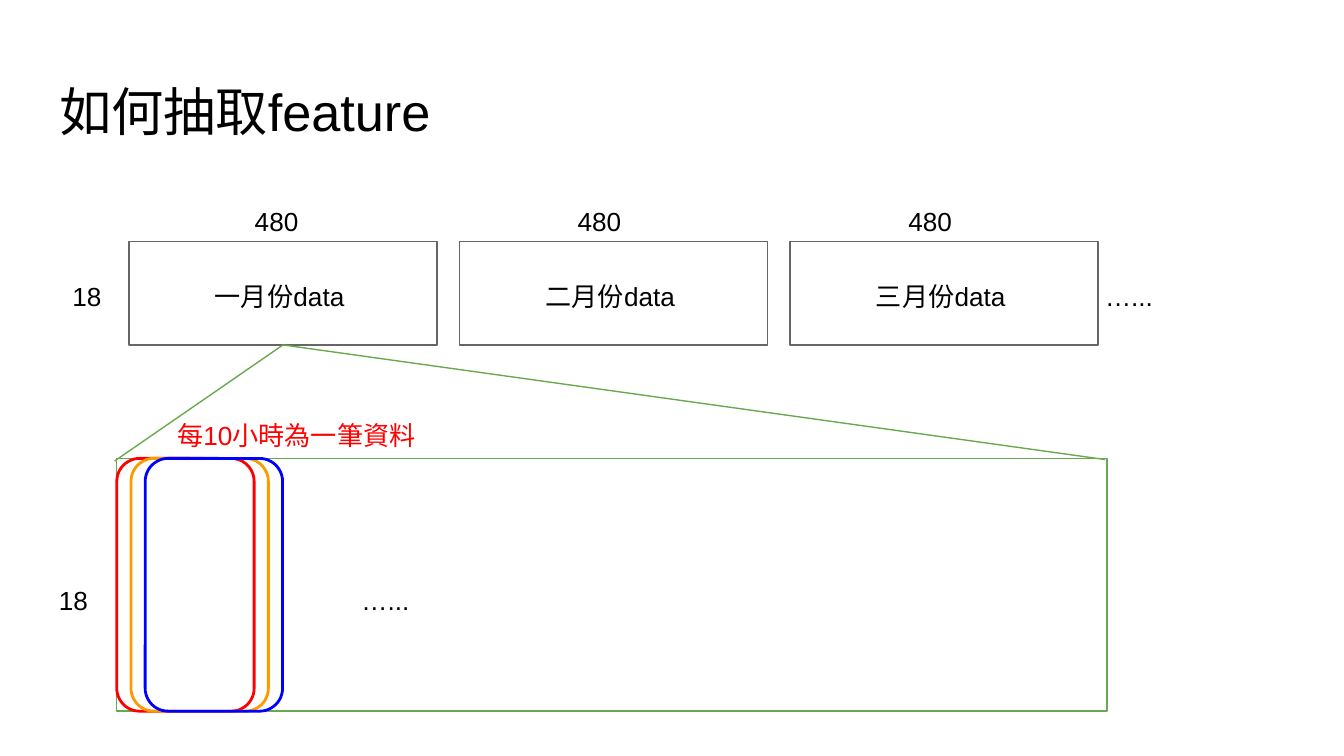
from lxml import etree
from pptx import Presentation
from pptx.dml.color import RGBColor
from pptx.enum.shapes import MSO_CONNECTOR, MSO_SHAPE
from pptx.enum.text import MSO_ANCHOR, MSO_AUTO_SIZE, PP_ALIGN
from pptx.oxml.ns import qn
from pptx.util import Pt

RECT, ROUNDED = MSO_SHAPE.RECTANGLE, MSO_SHAPE.ROUNDED_RECTANGLE
STRAIGHT = MSO_CONNECTOR.STRAIGHT
COLORS = {
    "text": "000000",
    "month": "666666",
    "detail": "6AA84F",
    "red": "FF0000",
    "orange": "FF9900",
    "blue": "0000FF",
}
FRAME_FORMAT = {
    "margin_left": Pt(7.2),
    "margin_top": Pt(7.2),
    "margin_right": Pt(7.2),
    "margin_bottom": Pt(7.2),
    "word_wrap": True,
    "auto_size": MSO_AUTO_SIZE.NONE,
    "vertical_anchor": MSO_ANCHOR.TOP,
}

prs = Presentation()
prs.slide_width, prs.slide_height = Pt(720), Pt(405)
slide = prs.slides.add_slide(prs.slide_layouts[5])
shapes = slide.shapes


def write(holder, text, size=14, color="text"):
    frame = holder.text_frame
    for name, value in FRAME_FORMAT.items():
        setattr(frame, name, value)
    paragraph = frame.paragraphs[0]
    paragraph.alignment = PP_ALIGN.LEFT
    run = paragraph.add_run()
    run.text = text
    run.font.name = "Arial"
    run.font.size = Pt(size)
    run.font.color.rgb = RGBColor.from_string(COLORS[color])


def outline(kind, left, top, width, height, color, weight=0.75):
    """Add an unfilled shape with a coloured border."""
    box = shapes.add_shape(kind, Pt(left), Pt(top), Pt(width), Pt(height))
    box.shadow.inherit = False
    box.fill.background()
    box.line.color.rgb = RGBColor.from_string(COLORS[color])
    box.line.width = Pt(weight)
    return box


title = shapes.title
title.left, title.top, title.width, title.height = Pt(24.5), Pt(35.3), Pt(671), Pt(45.4)
write(title, "如何抽取feature", size=28)

# Monthly blocks
month_left, month_step, month_top = 69.1, 177.1, 129.4
month_width, month_height = 165, 55.4
for i, month in enumerate(["一月份data", "二月份data", "三月份data"]):
    outline(RECT, month_left + i * month_step, month_top, month_width, month_height, "month")

# One month enlarged, with its sliding windows
detail_left, detail_top, detail_width, detail_height = 62.6, 245.6, 530.6, 135.4
outline(RECT, detail_left, detail_top, detail_width, detail_height, "detail")

apex_x, apex_y = month_left + month_width / 2, month_top + month_height
for end_x, end_y in [(61.4, 247), (592, 246.2)]:
    ray = shapes.add_connector(STRAIGHT, Pt(apex_x), Pt(apex_y), Pt(end_x), Pt(end_y))
    ray.line.color.rgb = RGBColor.from_string(COLORS["detail"])
    ray.line.width = Pt(0.75)
    etree.SubElement(ray._element.spPr, qn("a:effectLst"))

for i, color in enumerate(["red", "orange", "blue"]):
    window = outline(ROUNDED, detail_left + i * 7.6, detail_top, 73.6, detail_height, color, 1.5)
    window.adjustments[0] = 0.167

# Labels: text, left, top, width, colour
labels = [
    ("一月份data", 108, 143.3, 87.1, "text"),
    ("二月份data", 285.1, 143.3, 87.1, "text"),
    ("三月份data", 462.2, 143.3, 87.1, "text"),
    ("480", 129.4, 103, 52.6, "text"),
    ("480", 302.4, 103, 52.6, "text"),
    ("480", 479.5, 103, 52.6, "text"),
    ("18", 31.7, 143.3, 37.4, "text"),
    ("18", 24.5, 306, 37.4, "text"),
    ("…...", 584.9, 143.3, 59, "text"),
    ("…...", 186.5, 306, 59, "text"),
    ("每10小時為一筆資料", 87.8, 217.4, 157.7, "red"),
]
for text, left, top, width, color in labels:
    label = shapes.add_textbox(Pt(left), Pt(top), Pt(width), Pt(28))
    write(label, text, color=color)

prs.save("out.pptx")
